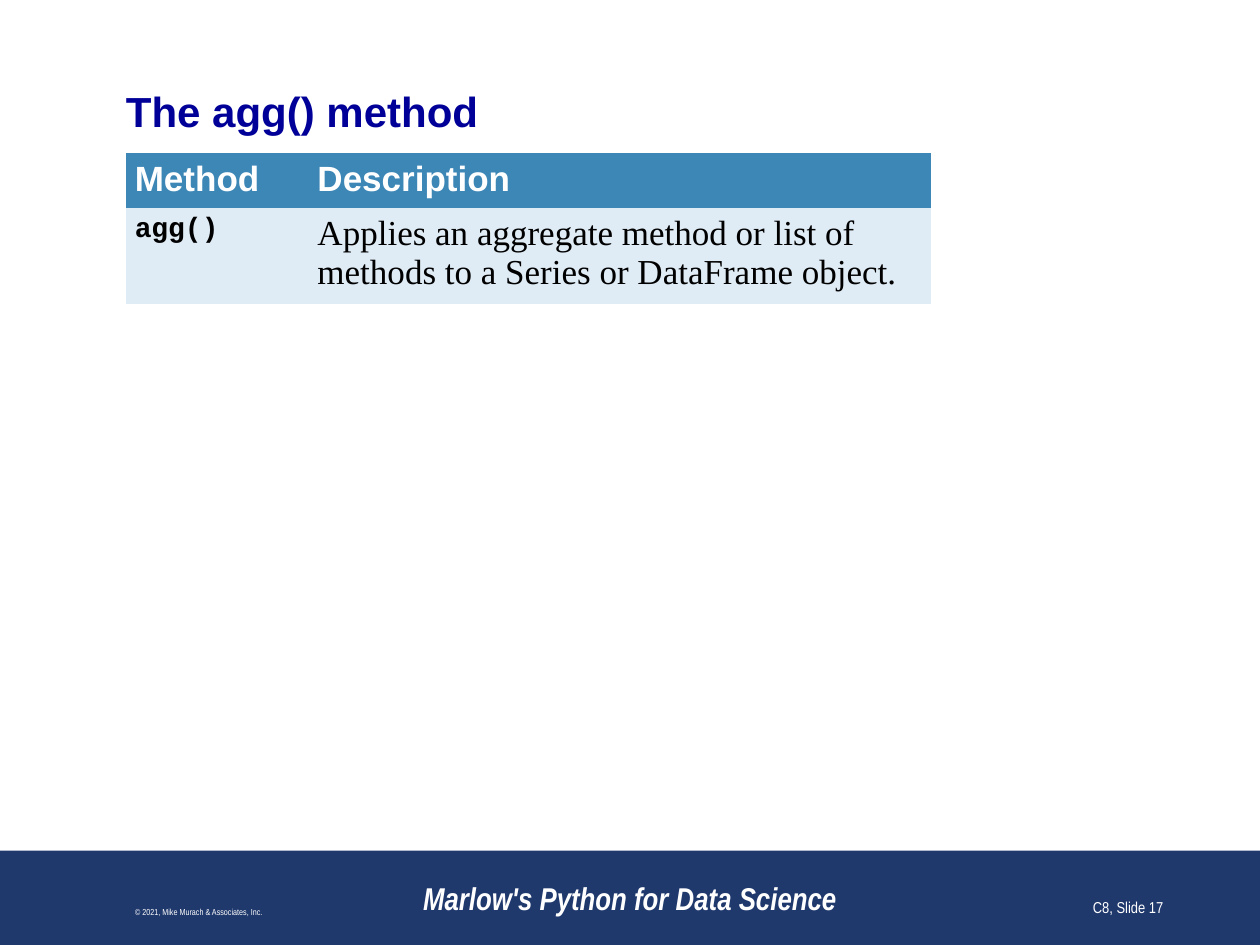
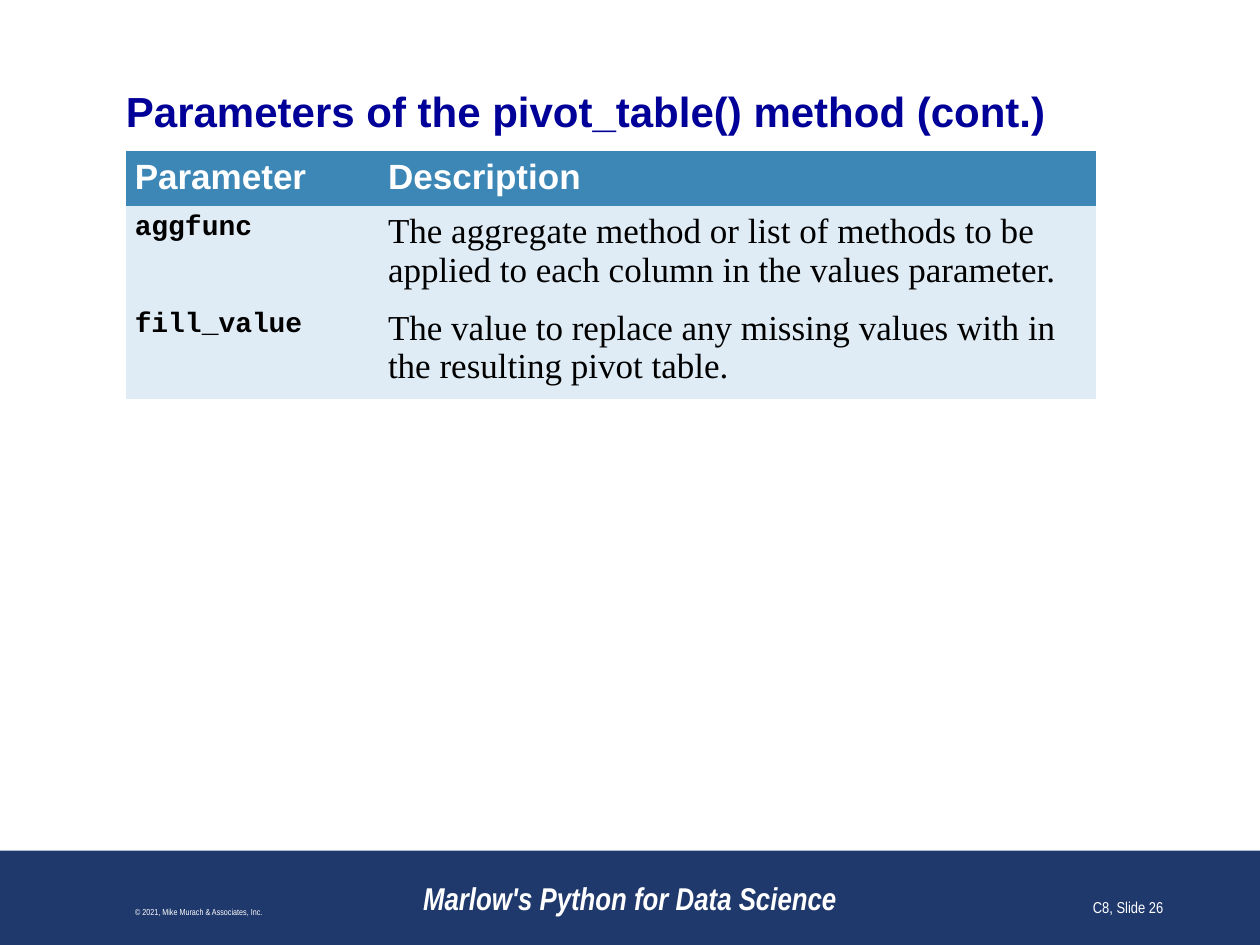
from pptx import Presentation
from pptx import util as u
from pptx.dml.color import RGBColor
from pptx.enum import shapes, text

NAVY, TITLE_BLUE, HEADER_BLUE, PALE_BLUE = "20396D", "000099", "3D87B7", "DFECF5"
WHITE, BLACK = "FFFFFF", "000000"
NO_STYLE_NO_GRID = "{2D5ABB26-0587-4C30-8999-92F81FD0307C}"

prs = Presentation()
prs.slide_width, prs.slide_height = u.Inches(10), u.Inches(7.5)
COL = prs.slide_width // 10  # ten columns across
ROW = prs.slide_height // 100  # a hundred rows down


def paint(target, color):
    """Give a shape's or cell's fill, or a font, a solid colour."""
    fill = target.fill
    fill.solid()
    fill.fore_color.rgb = RGBColor.from_string(color)


def add_run(p, words, size, font, color, bold=False, italic=False):
    r = p.add_run()
    r.text = words
    r.font.size, r.font.name = u.Pt(size), font
    r.font.bold, r.font.italic = bold, italic
    paint(r.font, color)


# number, title, table top in rows, column widths in columns, table cells
slides = [
    (17, "The agg() method", 16.2, (1.45, 4.94), [
        ("Method", "Description"),
        ("agg()", "Applies an aggregate method or list of methods to a "
                  "Series or DataFrame object."),
    ]),
    (26, "Parameters of the pivot_table() method (cont.)", 16, (2.01, 5.69), [
        ("Parameter", "Description"),
        ("aggfunc", "The aggregate method or list of methods to be applied "
                    "to each column in the values parameter."),
        ("fill_value", "The value to replace any missing values with in the "
                       "resulting pivot table."),
    ]),
]

for number, title, table_top, widths, cells in slides:
    s = prs.slides.add_slide(prs.slide_layouts[6])

    band = s.shapes.add_shape(shapes.MSO_SHAPE.RECTANGLE, 0, 90 * ROW,
                              prs.slide_width, 10 * ROW)
    band.shadow.inherit = False
    paint(band, NAVY)
    band.line.fill.background()

    tf = s.shapes.add_textbox(COL, 9 * ROW, 8 * COL, int(5.4 * ROW)).text_frame
    tf.word_wrap = True
    tf.margin_left = tf.margin_right = tf.margin_top = tf.margin_bottom = 0
    tf.vertical_anchor = text.MSO_ANCHOR.MIDDLE
    add_run(tf.paragraphs[0], title, 24, "Arial", TITLE_BLUE, bold=True)

    # a header row for one line of text, body rows for two
    heights = [int(5.5 * ROW)] + [int(9.5 * ROW)] * (len(cells) - 1)
    table = s.shapes.add_table(len(cells), 2, COL, int(table_top * ROW),
                               int(sum(widths) * COL), sum(heights)).table
    table.first_row = table.horz_banding = False
    table._tbl.tblPr[0].text = NO_STYLE_NO_GRID
    for column, width in zip(table.columns, widths):
        column.width = int(width * COL)
    for i, row_cells in enumerate(cells):
        table.rows[i].height = heights[i]
        for j, words in enumerate(row_cells):
            cell = table.cell(i, j)
            cell.margin_left = cell.margin_right = u.Inches(0.07)
            cell.margin_top = cell.margin_bottom = u.Inches(0.05)
            paint(cell, PALE_BLUE if i else HEADER_BLUE)
            p = cell.text_frame.paragraphs[0]
            if i == 0:
                add_run(p, words, 20, "Arial", WHITE, bold=True)
            elif j == 0:
                add_run(p, words, 16, "Courier New", BLACK, bold=True)
            else:
                add_run(p, words, 20, "Times New Roman", BLACK)

    # left and width in columns, words, size, alignment, bold italic
    footers = [
        (3, 4, "Marlow's Python for Data Science", 18, text.PP_ALIGN.CENTER, True),
        (0.08, 3, "© 2021, Mike Murach & Associates, Inc.", 5,
         text.PP_ALIGN.CENTER, False),
        (7.25, 2.08, f"C8, Slide {number}", 9, text.PP_ALIGN.RIGHT, False),
    ]
    for left, width, words, size, align, strong in footers:
        tf = s.shapes.add_textbox(int(left * COL), 91 * ROW, int(width * COL),
                                  int(6.7 * ROW)).text_frame
        tf.word_wrap = True
        tf.vertical_anchor = text.MSO_ANCHOR.BOTTOM
        p = tf.paragraphs[0]
        p.alignment = align
        add_run(p, words, size, "Arial Narrow", WHITE, strong, strong)

prs.save("out.pptx")
